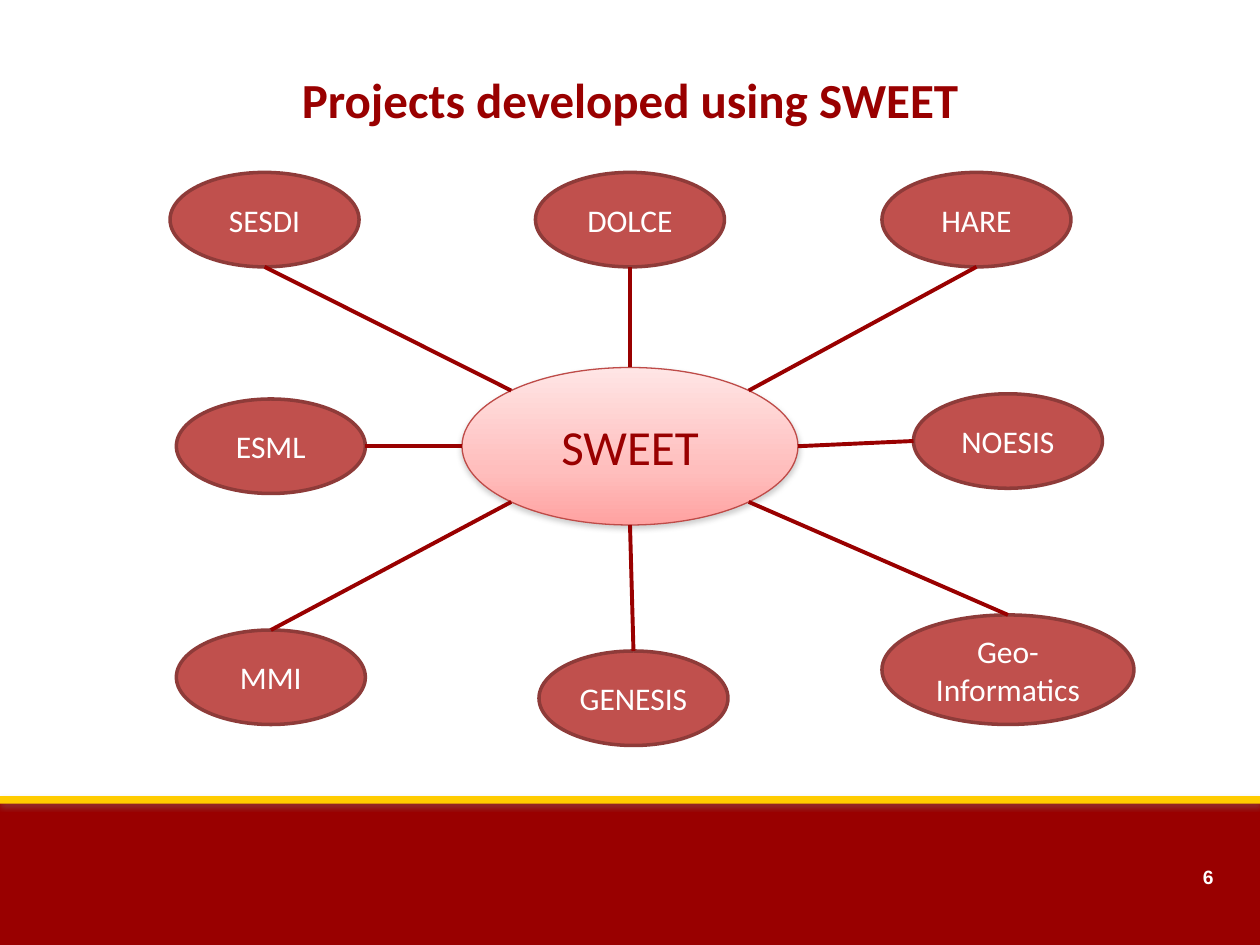
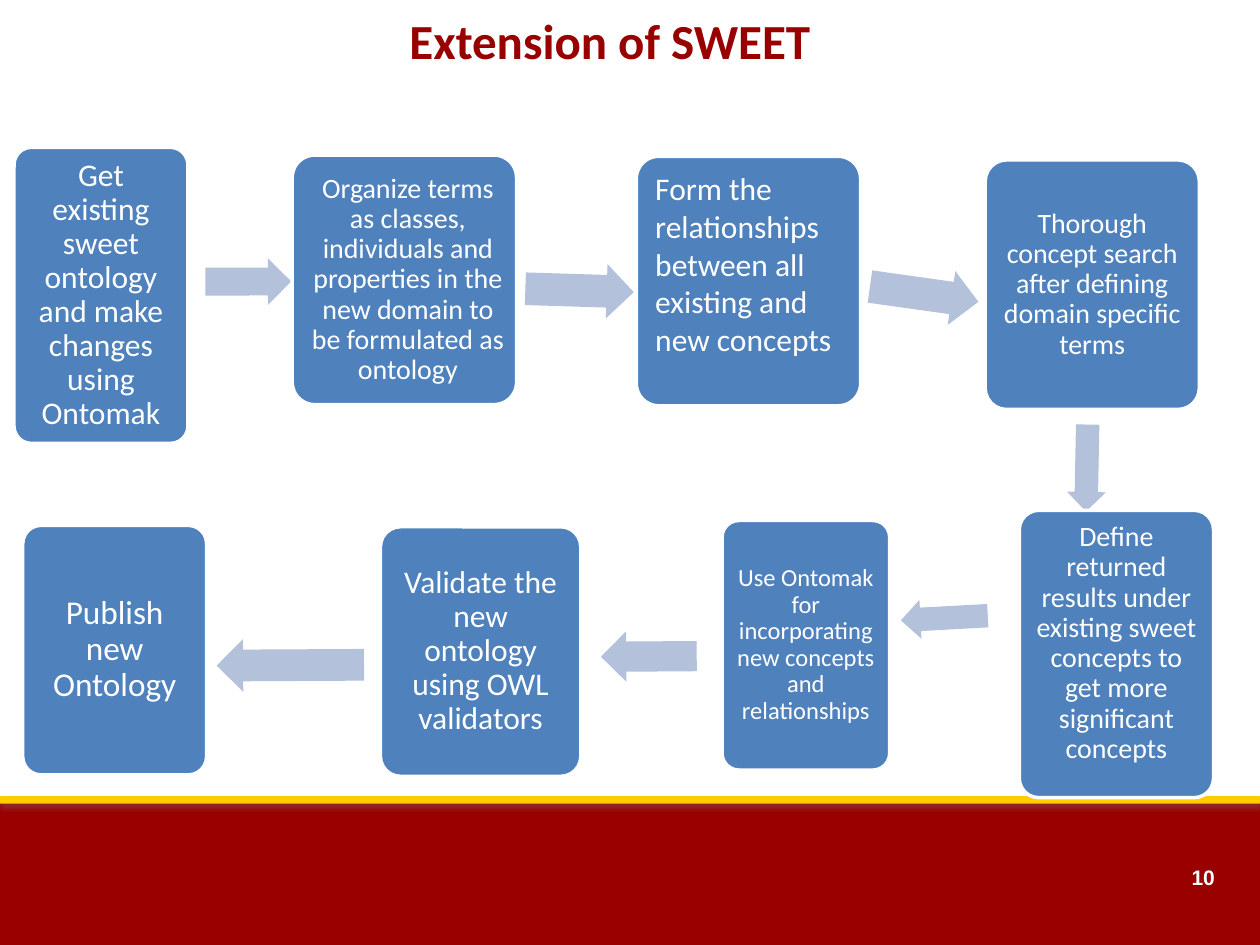
from copy import deepcopy
from dataclasses import dataclass

from lxml import etree
from pptx import Presentation
from pptx.dml.color import RGBColor
from pptx.enum import shapes, text
from pptx.oxml import ns
from pptx.util import Pt

SHAPE = shapes.MSO_SHAPE
ALIGN = text.PP_ALIGN
ANCHOR = text.MSO_ANCHOR


@dataclass(frozen=True)
class Theme:
    font: str = "Calibri"
    number_font: str = "Arial"
    title_size: float = 28
    node_size: float = 18
    red: str = "990000"
    gold: str = "FFCC00"
    white: str = "FFFFFF"
    shadow: str = "808080"
    node: str = "C0504D"
    node_edge: str = "8E3B39"
    hub_edge: str = "BE4B48"
    hub_stops: tuple = ((0, "FFE5E5"), (0.65, "FFBEBD"), (1, "FFA2A1"))
    step: str = "4F81BD"
    arrow: str = "B3C1DB"


@dataclass(frozen=True)
class Step:
    label: str
    size: float
    box: tuple
    arrow_out: tuple = None  # left, top, width, height, rotation
    shift_right: float = 0
    lift: float = 0
    centred: bool = True


THEME = Theme()

# Content: all lengths in points
PROJECTS_TITLE = "Projects developed using SWEET"
PROJECTS_TITLE_BOX = (59, 39.6, 602, 35.3)
HUB = ("SWEET", (264, 210, 192, 90))
NODE_SIZE = (108, 54)
# label, left and top, direction from the hub, size
PROJECTS = [
    ("SESDI", (97.2, 98.5), (-1, -1), NODE_SIZE),
    ("DOLCE", (306, 98.5), (0, -1), NODE_SIZE),
    ("HARE", (504, 98.5), (1, -1), NODE_SIZE),
    ("ESML", (100.8, 228), (-1, 0), NODE_SIZE),
    ("NOESIS", (522, 225), (1, 0), NODE_SIZE),
    ("MMI", (100.8, 360), (-1, 1), NODE_SIZE),
    ("GENESIS", (308, 372), (0, 1), NODE_SIZE),
    ("Geo-Informatics", (504, 351.4), (1, 1), (144, 62.6)),
]

EXTENSION_TITLE = "Extension of SWEET"
EXTENSION_TITLE_BOX = (48.2, 5.8, 600.5, 44)
STEPS = [
    Step("Get existing sweet ontology and make changes using Ontomak", 18,
         (8, 84.2, 99.4, 169.2), (117.4, 147.6, 49, 26.6, 359.9)),
    Step("Organize terms as classes, individuals and properties in the new "
         "domain to be formulated as ontology", 16,
         (167, 88.6, 128.2, 142.6), (300.2, 150.5, 62, 31, 1.8),
         shift_right=2),
    Step("Form the relationships between all existing and new concepts", 18,
         (363.6, 89.3, 128.2, 142.6), (496.8, 152.6, 62.6, 31, 8),
         centred=False),
    Step("Thorough concept search after defining domain specific terms", 16,
         (563, 91.4, 122.4, 142.6), (596.2, 256.3, 49.7, 22.3, 91.1)),
    Step("Define returned results under existing sweet concepts to get more "
         "significant concepts", 16,
         (582.5, 291.6, 111, 164.2), (514.8, 342, 49.7, 22.3, 176.9), lift=6),
    Step("Use Ontomak for incorporating new concepts and relationships", 14,
         (412.6, 297.4, 95.8, 142.6), (343.4, 360.7, 54.7, 28.8, 179.6)),
    Step("Validate the new ontology using OWL validators", 18,
         (217.4, 301, 114.5, 142.6), (123.8, 365, 84.2, 30.2, 179.7)),
    Step("Publish new Ontology", 19, (13, 300.2, 105.1, 142.6)),
]


def points(values):
    return [Pt(value) for value in values]


def rgb(colour):
    return RGBColor.from_string(colour)


def add_figure(page, kind, box, fill=None, edge=None, edge_width=1):
    figure = page.shapes.add_shape(kind, *points(box))
    figure.shadow.inherit = False
    if fill:
        figure.fill.solid()
        figure.fill.fore_color.rgb = rgb(fill)
    if edge:
        figure.line.color.rgb = rgb(edge)
        figure.line.width = Pt(edge_width)
    else:
        figure.line.fill.background()
    return figure


def add_shadow(figure, alpha, distance):
    effects = figure.element.spPr.find(ns.qn("a:effectLst"))
    outer = etree.SubElement(
        effects, ns.qn("a:outerShdw"), blurRad=str(Pt(3.1)),
        dist=str(Pt(distance)), dir="5400000", rotWithShape="0")
    colour = etree.SubElement(outer, ns.qn("a:srgbClr"), val=THEME.shadow)
    etree.SubElement(colour, ns.qn("a:alpha"), val=str(alpha * 1000))


def write(frame, words, size, colour, font=THEME.font, bold=False,
          align=ALIGN.CENTER, anchor=ANCHOR.MIDDLE, insets=None, spacing=None):
    """Fill a text frame with one paragraph; insets run left, top, right, bottom."""
    frame.word_wrap = True
    frame.vertical_anchor = anchor
    if insets:
        (frame.margin_left, frame.margin_top,
         frame.margin_right, frame.margin_bottom) = points(insets)
    para = frame.paragraphs[0]
    para.text = words
    para.alignment = align
    if spacing:
        para.line_spacing = spacing
    para.font.name = font
    para.font.size = Pt(size)
    para.font.bold = bold
    para.font.color.rgb = rgb(colour)


def add_bands(layout, page):
    """Draw the footer bands on a page, then move them to its layout."""
    for holder in list(layout.placeholders)[1:]:
        layout.shapes.element.remove(holder.element)
    red = add_figure(page, SHAPE.RECTANGLE, (0, 457, 720, 83), THEME.red)
    add_shadow(red, 35, 1.8)
    gold = add_figure(page, SHAPE.RECTANGLE, (0, 455, 720, 4.3), THEME.gold)
    add_shadow(gold, 38, 1.6)
    for band in (red, gold):
        layout.shapes.element.append(band.element)


def add_title(page, words, box):
    title = page.shapes.title
    title.left, title.top, title.width, title.height = points(box)
    write(title.text_frame, words, THEME.title_size, THEME.red, bold=True,
          anchor=ANCHOR.TOP, insets=(0, 0, 0, 0))


def add_page_number(page, label, centre, size):
    width = 50
    box = page.shapes.add_textbox(*points((centre - width / 2, 492, width, 18)))
    write(box.text_frame, label, size, THEME.white, THEME.number_font,
          bold=True, insets=(0, 0, 0, 0))


def rim(box, direction):
    """Point on an ellipse's edge in one of eight directions."""
    left, top, width, height = box
    dx, dy = direction
    length = (dx * dx + dy * dy) ** 0.5
    return (left + width / 2 * (1 + dx / length),
            top + height / 2 * (1 + dy / length))


def add_spoke(page, start, end):
    spoke = page.shapes.add_connector(
        shapes.MSO_CONNECTOR.STRAIGHT, *points(start + end))
    spoke.line.color.rgb = rgb(THEME.red)
    spoke.line.width = Pt(2.25)
    etree.SubElement(spoke.element.spPr, ns.qn("a:effectLst"))


def add_hub(page, label, box):
    hub = add_figure(page, SHAPE.OVAL, box, edge=THEME.hub_edge, edge_width=0.75)
    hub.fill.gradient()
    hub.fill.gradient_angle = 270
    stop_list = hub.element.spPr.find(".//" + ns.qn("a:gsLst"))
    stop_list.append(deepcopy(stop_list[-1]))
    for stop, (position, colour) in zip(hub.fill.gradient_stops, THEME.hub_stops):
        stop.position = position
        stop.color.rgb = rgb(colour)
    add_shadow(hub, 38, 1.6)
    write(hub.text_frame, label, THEME.title_size, THEME.red)


def draw_projects(page):
    add_title(page, PROJECTS_TITLE, PROJECTS_TITLE_BOX)
    add_hub(page, *HUB)
    for label, corner, (dx, dy), size in PROJECTS:
        box = corner + size
        node = add_figure(page, SHAPE.OVAL, box, THEME.node, THEME.node_edge, 2)
        write(node.text_frame, label, THEME.node_size, THEME.white)
        facing = (0, -dy) if dy else (-dx, 0)
        add_spoke(page, rim(HUB[1], (dx, dy)), rim(box, facing))
    add_page_number(page, "6", 690.5, 11)


def add_step(page, step):
    card = add_figure(page, SHAPE.ROUNDED_RECTANGLE, step.box,
                      THEME.step, THEME.white, 2)
    card.adjustments[0] = 0.1
    if step.centred:
        layout = dict(spacing=0.9, insets=(
            5 + step.shift_right, 5, 5 - step.shift_right, 5 + 2 * step.lift))
    else:
        layout = dict(align=ALIGN.LEFT, anchor=ANCHOR.TOP)
    write(card.text_frame, step.label, step.size, THEME.white, **layout)
    if step.arrow_out:
        *box, rotation = step.arrow_out
        arrow = add_figure(page, SHAPE.RIGHT_ARROW, box, THEME.arrow)
        arrow.adjustments[0] = 0.6
        arrow.adjustments[1] = 0.5
        arrow.rotation = rotation


def draw_extension(page):
    add_title(page, EXTENSION_TITLE, EXTENSION_TITLE_BOX)
    for step in STEPS:
        add_step(page, step)
    add_page_number(page, "10", 687.6, 12)


def main():
    deck = Presentation()
    deck.slide_width, deck.slide_height = points((720, 540))
    layout = deck.slide_layouts[5]
    projects = deck.slides.add_slide(layout)
    add_bands(layout, projects)
    draw_projects(projects)
    draw_extension(deck.slides.add_slide(layout))
    deck.save("out.pptx")


if __name__ == "__main__":
    main()
